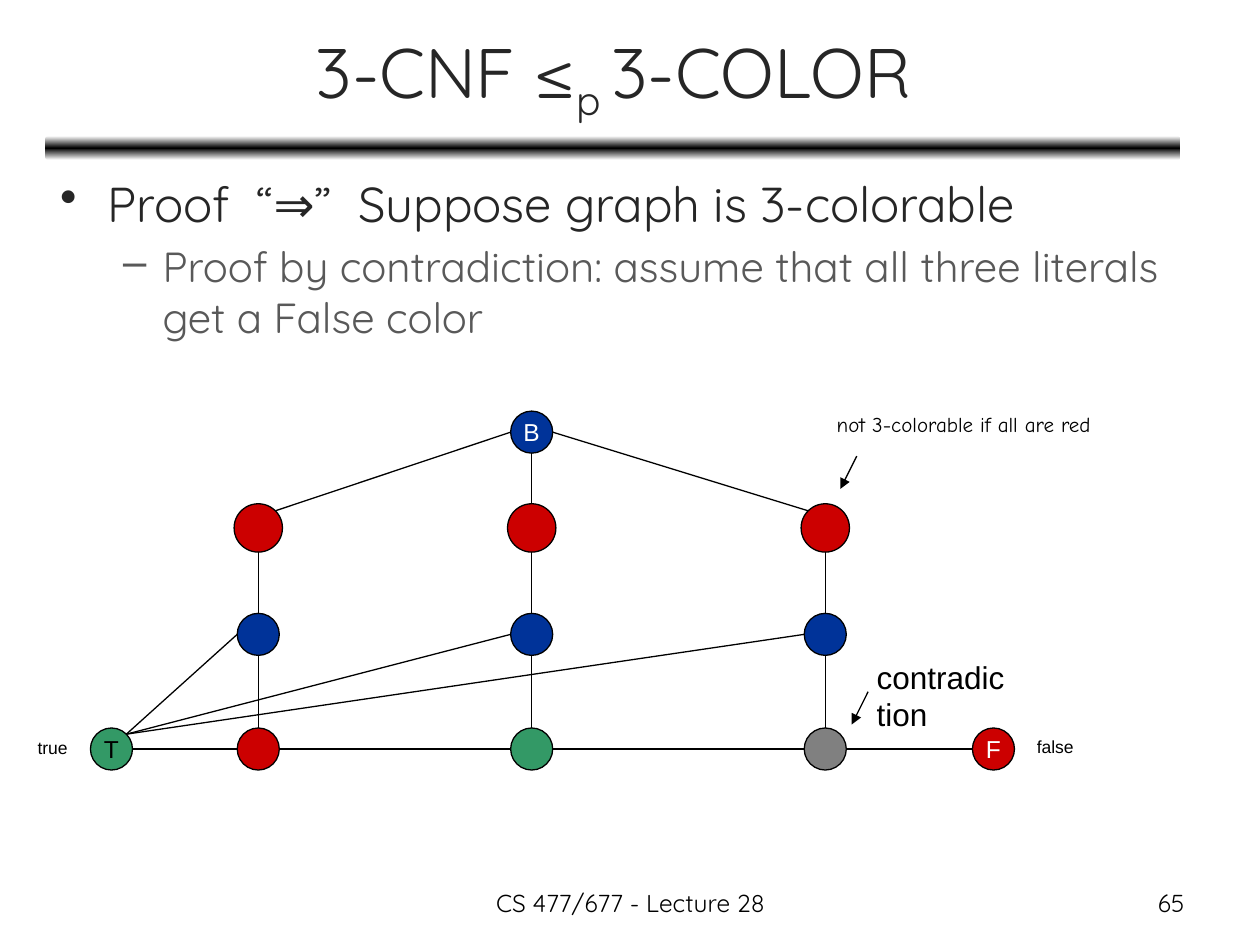
import math

import pptx
import pptx.dml.color
import pptx.enum.shapes
import pptx.enum.text
import pptx.oxml.ns
import pptx.util
from lxml import etree

# The slide is a grid of 100 columns by 75 rows; every box is
# (left, top, width, height) in grid cells.
CELL = pptx.util.Inches(0.1)
COLUMNS, ROWS = 100, 75

COLORS = {
    "white": "FFFFFF", "black": "000000", "ink": "262626", "soft": "595959",
    "red": "CC0000", "blue": "003399", "green": "339966", "gray": "808080",
}
ALIGN = pptx.enum.text.PP_ALIGN
ANCHOR = pptx.enum.text.MSO_ANCHOR
SHAPES = pptx.enum.shapes.MSO_SHAPE

# Node sizes and the compass directions in which edges leave them
SMALL, LARGE = 1.67, 1.92
DIAGONAL = math.sqrt(0.5)
COMPASS = {
    "top": (0, -1), "bottom": (0, 1), "left": (-1, 0), "right": (1, 0),
    "top left": (-DIAGONAL, -DIAGONAL), "top right": (DIAGONAL, -DIAGONAL),
}


def cells(*values):
    return [round(value * CELL) for value in values]


def within(box, x, y, width, height):
    return box[0] + x, box[1] + y, width, height


def rgb(name):
    return pptx.dml.color.RGBColor.from_string(COLORS[name])


def sub_element(parent, tag, **attributes):
    return etree.SubElement(parent, pptx.oxml.ns.qn(tag), attributes)


def add_span(para, text, size, font, color):
    span = para.add_run()
    span.text = text
    span.font.size = pptx.util.Pt(size)
    span.font.name = font
    span.font.color.rgb = rgb(color)
    return span


def add_text_frame(page, box, wrap=True, inset=None):
    frame = page.shapes.add_textbox(*cells(*box)).text_frame
    frame.word_wrap = wrap
    if inset is not None:
        frame.margin_left = frame.margin_right = inset
        frame.margin_top = frame.margin_bottom = inset
    return frame


def add_label(page, box, text, size, font, align=ALIGN.LEFT, **options):
    para = add_text_frame(page, box, **options).paragraphs[0]
    para.alignment = align
    add_span(para, text, size, font, "black")


def add_line(page, start, end, arrow=False):
    line = page.shapes.add_connector(
        pptx.enum.shapes.MSO_CONNECTOR.STRAIGHT, *cells(*start, *end))
    line.line.color.rgb = rgb("black")
    line.line.width = pptx.util.Pt(0.75)
    if arrow:
        sub_element(line.line._get_or_add_ln(), "a:tailEnd", type="triangle")
    sub_element(line._element.spPr, "a:effectLst")


def add_node(page, node):
    x, y, radius, fill, letter, letter_color = node
    circle = page.shapes.add_shape(
        SHAPES.OVAL, *cells(x - radius, y - radius, 2 * radius, 2 * radius))
    circle.shadow.inherit = False
    circle.fill.solid()
    circle.fill.fore_color.rgb = rgb(fill)
    circle.line.color.rgb = rgb("black")
    circle.line.width = pptx.util.Pt(0.75)
    if letter:
        frame = circle.text_frame
        frame.word_wrap = False
        frame.vertical_anchor = ANCHOR.MIDDLE
        frame.paragraphs[0].alignment = ALIGN.CENTER
        add_span(frame.paragraphs[0], letter, 14, "Arial", letter_color)


def rim(node, side):
    x, y, radius = node[:3]
    dx, dy = COMPASS[side]
    return x + dx * radius, y + dy * radius


def draw_heading(page, box):
    # Title
    frame = add_text_frame(page, within(box, 0, 0, box[2], 9.9))
    frame.vertical_anchor = ANCHOR.MIDDLE
    para = frame.paragraphs[0]
    para.alignment = ALIGN.CENTER
    for text, baseline in (("3-CNF ≤", 0), ("p ", -25000), ("3-COLOR", 0)):
        span = add_span(para, text, 40, "Quicksand", "ink")
        if baseline:
            span._r.get_or_add_rPr().set("baseline", str(baseline))

    # Rule that fades to white above and below
    rule = page.shapes.add_shape(
        SHAPES.ROUNDED_RECTANGLE, *cells(*within(box, -0.1, 9.7, 90.1, 1.9)))
    rule.shadow.inherit = False
    rule.line.fill.background()
    rule.fill.gradient()
    rule.fill.gradient_angle = 90
    stops = rule._element.spPr.find(".//" + pptx.oxml.ns.qn("a:gsLst"))
    for stop in list(stops):
        stops.remove(stop)
    for position, color in ((0, "white"), (50, "black"), (100, "white")):
        stop = sub_element(stops, "a:gs", pos=str(position * 1000))
        sub_element(stop, "a:srgbClr", val=COLORS[color])


def draw_points(page, box):
    frame = add_text_frame(page, box)
    points = (
        ("Proof  “⇒”  Suppose graph is 3-colorable",
         0, "•", 3.75, -3.75, 28, "ink"),
        ("Proof by contradiction: assume that all three literals get a False color",
         1, "–", 8.13, -3.13, 24, "soft"),
    )
    for text, level, bullet, margin, indent, size, color in points:
        para = frame.add_paragraph() if level else frame.paragraphs[0]
        para.level = level
        if level:
            para.space_before = pptx.util.Pt(size * 0.2)
        properties = para._p.get_or_add_pPr()
        properties.set("marL", str(cells(margin)[0]))
        properties.set("indent", str(cells(indent)[0]))
        sub_element(properties, "a:buChar", char=bullet)
        add_span(para, text, size, "Quicksand", color)


def draw_graph(page, box):
    left, top = box[:2]
    true_x, *clause_xs, false_x = (left + x for x in (6.85, 18.5, 40.2, 63.5, 76.85))
    base_y, literal_y, inner_y, output_y = (top + y for y in (1.7, 9.3, 17.75, 26.85))

    # Nodes
    base = (clause_xs[1], base_y, SMALL, "blue", "B", "white")
    true = (true_x, output_y, SMALL, "green", "T", "black")
    false = (false_x, output_y, SMALL, "red", "F", "white")
    literals = [(x, literal_y, LARGE, "red", "", "") for x in clause_xs]
    inners = [(x, inner_y, SMALL, "blue", "", "") for x in clause_xs]
    outputs = [(x, output_y, SMALL, fill, "", "")
               for x, fill in zip(clause_xs, ("red", "green", "gray"))]

    # Edges: each clause column, then the bottom row
    edges = []
    arrivals = (("left", "top right"), ("bottom", "top"), ("right", "top left"))
    for literal, inner, output, (leave, arrive) in zip(
            literals, inners, outputs, arrivals):
        edges += [(base, leave, literal, arrive),
                  (literal, "bottom", inner, "top"),
                  (inner, "bottom", output, "top"),
                  (true, "top right", inner, "left")]
    row = [true, *outputs, false]
    edges += [(a, "right", b, "left") for a, b in zip(row, row[1:])]
    for start, leave, end, arrive in edges:
        add_line(page, rim(start, leave), rim(end, arrive))
    for node in (base, *literals, *inners, *row):
        add_node(page, node)

    # Labels and pointers
    add_label(page, within(box, 0, 25.4, 4.7, 3), "true", 10, "Arial", wrap=False)
    add_label(page, within(box, 79.3, 25.3, 5.1, 3), "false", 10, "Arial", wrap=False)
    add_label(page, within(box, 64.4, 0.1, 22.2, 2.3),
              "not 3-colorable if all are red", 12, "Comic Neue", inset=0)
    add_label(page, within(box, 66.6, 19.1, 12.3, 3.4), "contradiction", 18, "Arial")
    for x, y in ((66, 3.6), (66.9, 22.3)):
        add_line(page, (left + x, top + y),
                 (left + x - 1.3, top + y + 2.6), arrow=True)


def draw_footer(page, box):
    add_label(page, within(box, 0, 0, 31.7, box[3]), "CS 477/677 - Lecture 28",
              14, "Quicksand", ALIGN.CENTER)
    add_label(page, within(box, 37.5, 0, 23.3, box[3]), "65",
              14, "Quicksand", ALIGN.RIGHT)


def main():
    deck = pptx.Presentation()
    deck.slide_width, deck.slide_height = cells(COLUMNS, ROWS)
    page = deck.slides.add_slide(deck.slide_layouts[6])
    draw_heading(page, (3.7, 1.1, 90, 11.6))
    draw_points(page, (3.8, 13.3, 90, 15))
    draw_graph(page, (2, 32.6, 86.6, 28.6))
    draw_footer(page, (34.2, 70, 60.8, 3.5))
    deck.save("out.pptx")


if __name__ == "__main__":
    main()
